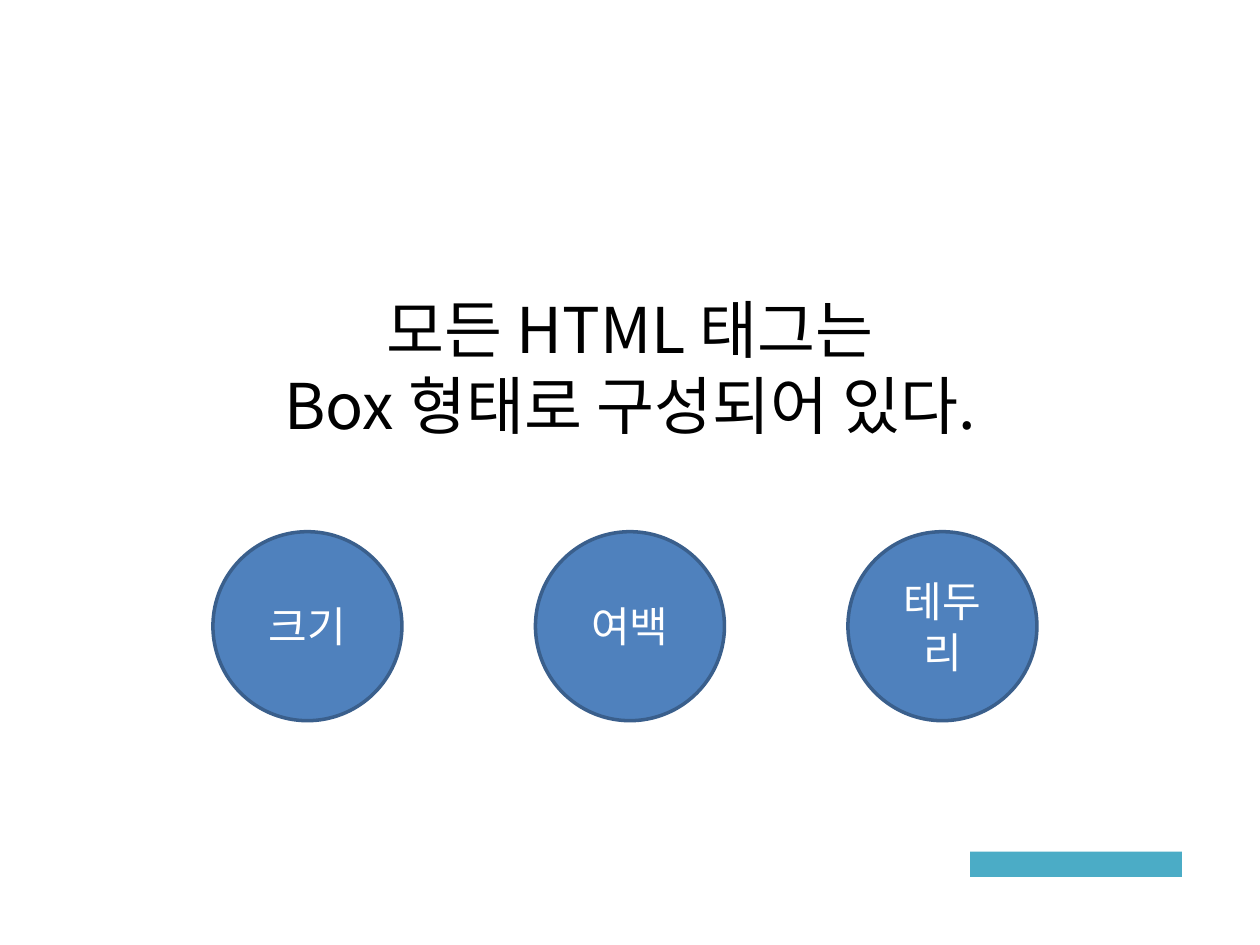
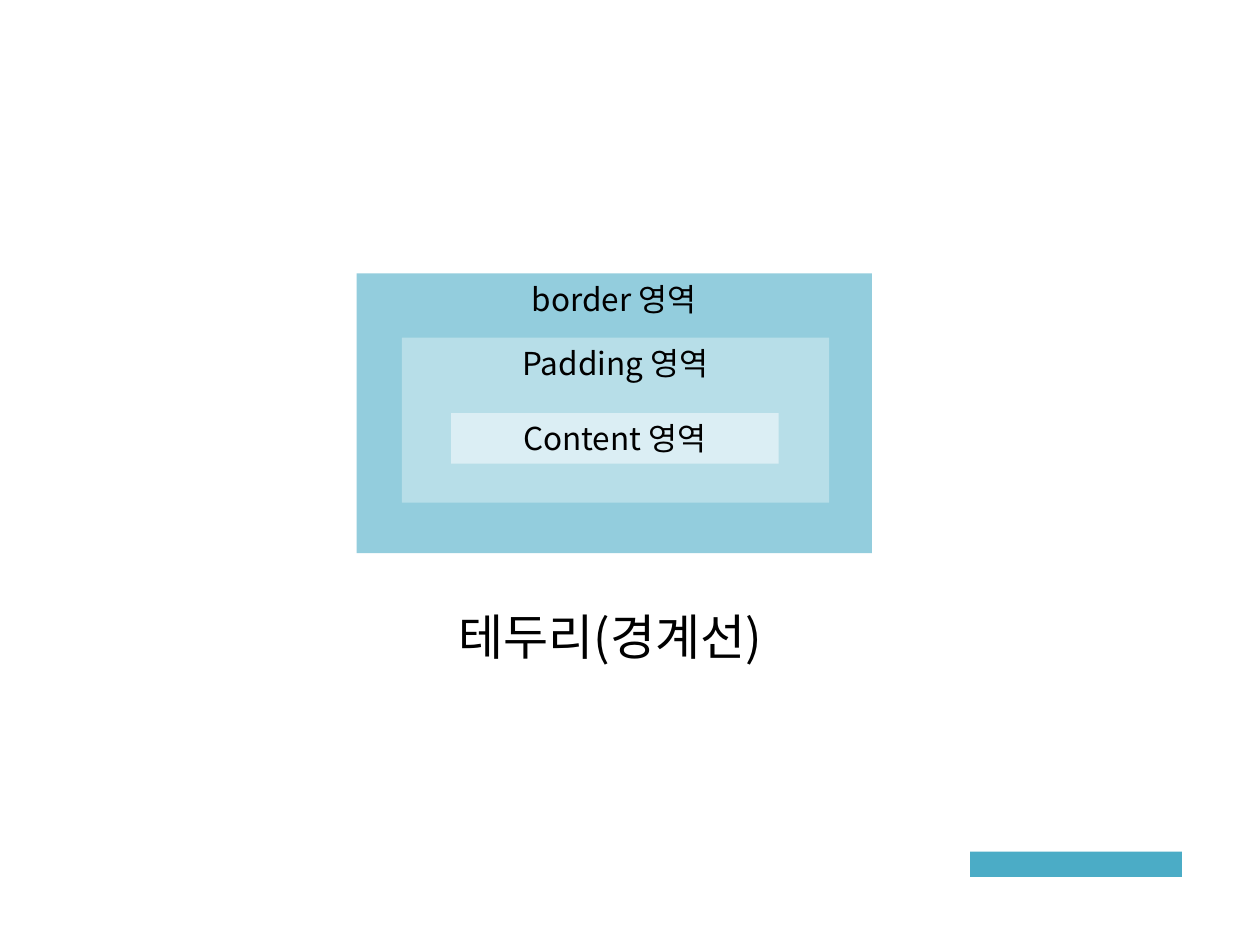
from dataclasses import dataclass

from lxml import etree
from pptx import Presentation
from pptx.dml.color import RGBColor
from pptx.enum import shapes, text
from pptx.oxml import ns
from pptx.util import Inches, Pt

FONT = "Noto Sans CJK KR"
BLACK = RGBColor(0x00, 0x00, 0x00)
WHITE = RGBColor(0xFF, 0xFF, 0xFF)
ACCENT = RGBColor(0x4B, 0xAC, 0xC6)
CIRCLE_FILL = RGBColor(0x4F, 0x81, 0xBD)
CIRCLE_LINE = RGBColor(0x3A, 0x5F, 0x8C)
BORDER_FILL = RGBColor(0x93, 0xCD, 0xDD)
PADDING_FILL = RGBColor(0xB7, 0xDE, 0xE8)
CONTENT_FILL = RGBColor(0xDB, 0xEE, 0xF4)

CIRCLE_TOP = 4.22
CIRCLE_SIZE = 1.5


@dataclass(frozen=True)
class Area:
    left: float
    top: float
    width: float
    height: float

    def lengths(self) -> list:
        return [Inches(n) for n in (self.left, self.top, self.width, self.height)]


@dataclass(frozen=True)
class Layer:
    """One nested rectangle of the box model."""
    label: str
    area: Area
    fill: RGBColor


FOOTER_AREA = Area(7.7, 6.76, 1.68, 0.2)
CIRCLES = (("크기", 1.69), ("여백", 4.25), ("테두리", 6.73))
LAYERS = (
    Layer("border 영역", Area(2.83, 2.17, 4.09, 2.22), BORDER_FILL),
    Layer("Padding 영역", Area(3.19, 2.68, 3.39, 1.31), PADDING_FILL),
    Layer("Content 영역", Area(3.58, 3.28, 2.6, 0.4), CONTENT_FILL),
)


def style_paragraph(para, size: int, color: RGBColor) -> None:
    """Centre the paragraph and set its font, for Latin and Korean letters alike."""
    para.alignment = text.PP_ALIGN.CENTER
    font = para.font
    font.size = Pt(size)
    font.name = FONT
    font.color.rgb = color
    latin = font._element.find(ns.qn("a:latin"))
    east_asian = etree.Element(ns.qn("a:ea"), typeface=FONT)
    latin.addnext(east_asian)


def write_lines(shape, lines: tuple[str, ...], size: int, color: RGBColor,
                anchor=text.MSO_ANCHOR.MIDDLE) -> None:
    frame = shape.text_frame
    frame.word_wrap = True
    frame.vertical_anchor = anchor
    frame.text = "\n".join(lines)
    for para in frame.paragraphs:
        style_paragraph(para, size, color)


def add_heading(page, area: Area, lines: tuple[str, ...], size: int) -> None:
    box = page.shapes.add_textbox(*area.lengths())
    write_lines(box, lines, size, BLACK)


def add_filled_shape(page, kind, area: Area, fill: RGBColor):
    shape = page.shapes.add_shape(kind, *area.lengths())
    shape.shadow.inherit = False
    shape.fill.solid()
    shape.fill.fore_color.rgb = fill
    shape.line.fill.background()
    return shape


def add_circle(page, label: str, left: float) -> None:
    area = Area(left, CIRCLE_TOP, CIRCLE_SIZE, CIRCLE_SIZE)
    circle = add_filled_shape(page, shapes.MSO_SHAPE.OVAL, area, CIRCLE_FILL)
    circle.line.color.rgb = CIRCLE_LINE
    circle.line.width = Pt(2)
    write_lines(circle, (label,), 24, WHITE)


def add_layer(page, layer: Layer) -> None:
    box = add_filled_shape(page, shapes.MSO_SHAPE.RECTANGLE, layer.area, layer.fill)
    write_lines(box, (layer.label,), 18, BLACK, text.MSO_ANCHOR.TOP)


def add_page(deck):
    """Add a blank page with the plain footer bar."""
    page = deck.slides.add_slide(deck.slide_layouts[6])
    add_filled_shape(page, shapes.MSO_SHAPE.RECTANGLE, FOOTER_AREA, ACCENT)
    return page


def build_intro(deck) -> None:
    page = add_page(deck)
    add_heading(page, Area(0.75, 2.1, 8.5, 1.61),
                ("모든 HTML 태그는", "Box 형태로 구성되어 있다."), 36)
    for label, left in CIRCLES:
        add_circle(page, label, left)


def build_box_model(deck) -> None:
    page = add_page(deck)
    add_heading(page, Area(0.83, 4.46, 8.03, 1.18), ("테두리(경계선)",), 28)
    for layer in LAYERS:
        add_layer(page, layer)


def main() -> None:
    deck = Presentation()
    deck.slide_width = Inches(10)
    deck.slide_height = Inches(7.5)
    build_intro(deck)
    build_box_model(deck)
    deck.save("out.pptx")


if __name__ == "__main__":
    main()
